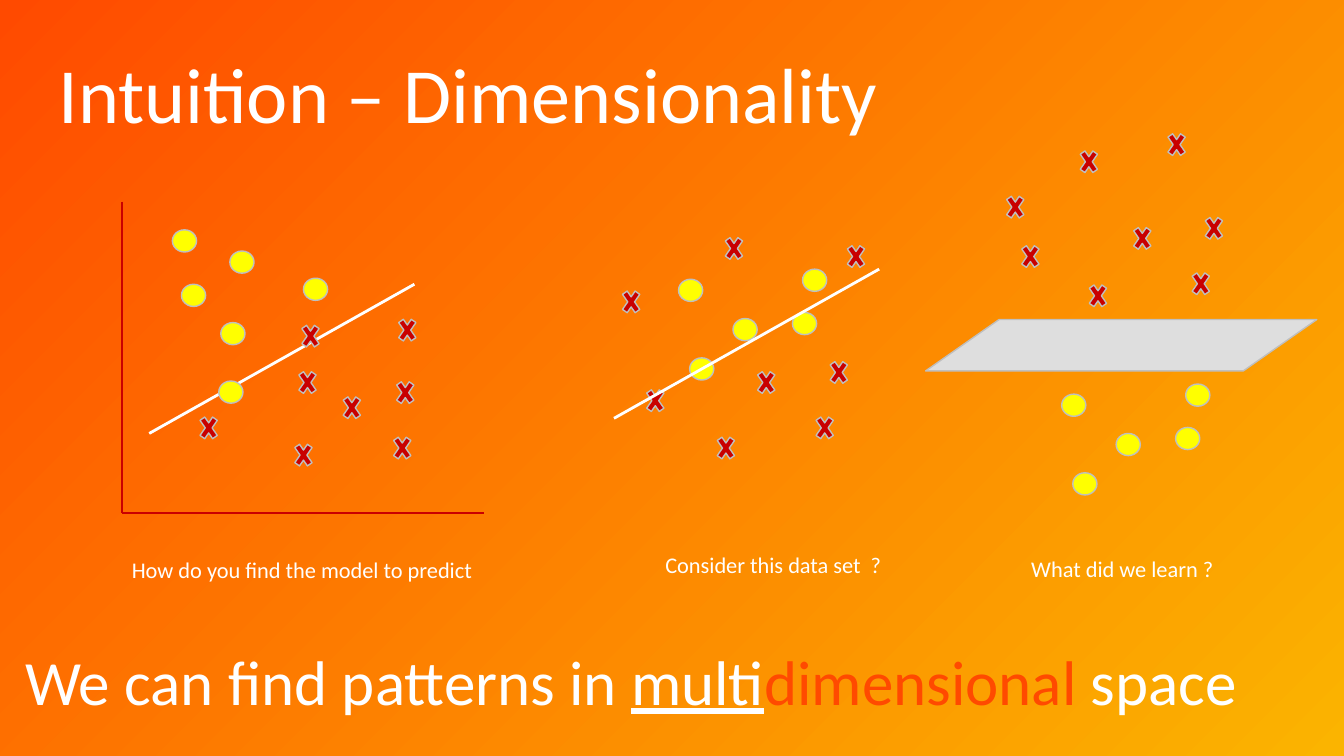
from pptx import Presentation
from pptx.dml.color import RGBColor
from pptx.enum.shapes import MSO_CONNECTOR, MSO_SHAPE as SHAPE
from pptx.enum.text import MSO_AUTO_SIZE as AUTO_SIZE
from pptx.oxml.ns import qn
from pptx.util import Inches, Pt
from lxml import etree

WHITE, RED, ORANGE, AMBER = "FFFFFF", "C90000", "FF4A00", "FBB400"
YELLOW, PLANE_GRAY, EDGE_GRAY = "FFFF00", "DEDEDE", "BFBFBF"
RISE = (2.63, -1.48)
INNER_CLUSTER = [(1.23, 0), (0.54, 0.49), (0, 0.1), (0.11, 0.88), (1.13, 0.43)]


def color(hex_value):
    """Turn a hex string into a colour."""
    return RGBColor.from_string(hex_value)


def add_text(slide, box, runs, size, wrap=True, inset=0.1):
    """Place one paragraph of (text, colour, underline) runs in a box."""
    frame = slide.shapes.add_textbox(*map(Inches, box)).text_frame
    frame.word_wrap = wrap
    frame.auto_size = AUTO_SIZE.NONE if wrap else AUTO_SIZE.SHAPE_TO_FIT_TEXT
    frame.margin_left = Inches(inset)
    for text, hex_value, underline in runs:
        run = frame.paragraphs[0].add_run()
        run.text = text
        run.font.name = "Calibri"
        run.font.size = Pt(size)
        run.font.color.rgb = color(hex_value)
        run.font.underline = underline


def add_caption(slide, left, top, width, text):
    """Place a one-line caption under a panel."""
    add_text(slide, (left, top, width, 0.37), [(text, WHITE, False)], 16, wrap=False)


def add_line(slide, start, end, hex_value):
    """Draw a straight line between two points."""
    line = slide.shapes.add_connector(MSO_CONNECTOR.STRAIGHT, *map(Inches, start + end))
    line.line.color.rgb = color(hex_value)
    line.line.width = Pt(2)
    etree.SubElement(line._element.spPr, qn("a:effectLst"))


def add_boundary(slide, left, top):
    """Draw a rising separating line from its lower left end."""
    add_line(slide, (left, top), (left + RISE[0], top + RISE[1]), WHITE)


def add_outlined(slide, kind, box, hex_value):
    """Draw a filled shape with a thin gray edge."""
    outlined = slide.shapes.add_shape(kind, *map(Inches, box))
    outlined.shadow.inherit = False
    outlined.fill.solid()
    outlined.fill.fore_color.rgb = color(hex_value)
    outlined.line.color.rgb = color(EDGE_GRAY)
    outlined.line.width = Pt(1)
    return outlined


def add_dots(slide, left, top, points):
    """Draw yellow dots at offsets from a corner."""
    for x, y in points:
        add_outlined(slide, SHAPE.OVAL, (left + x, top + y, 0.24, 0.22), YELLOW)


def add_crosses(slide, left, top, points):
    """Draw red crosses at offsets from a corner."""
    for x, y in points:
        add_outlined(slide, SHAPE.MATH_MULTIPLY, (left + x, top + y, 0.24, 0.35), RED)


def separable_panel(slide, left, top, width, height):
    """Draw the axes with two classes that a line separates."""
    corner = (left, top + height)
    add_line(slide, (left, top), corner, RED)
    add_line(slide, (left + width, top + height), corner, RED)
    add_boundary(slide, left + 0.27, top + 2.3)
    add_dots(slide, left, top, [(0.5, 0.28), (0.59, 0.82), (1.07, 0.49),
                                (1.8, 0.76), (0.96, 1.78), (0.98, 1.2)])
    add_crosses(slide, left, top, [(1.68, 2.34), (2.16, 1.87), (2.69, 1.72), (2.66, 2.27),
                                   (0.74, 2.07), (1.72, 1.62), (2.71, 1.1), (1.75, 1.16)])
    add_caption(slide, left, top + 3.47, 3.73, "How do you find the model to predict")


def mixed_panel(slide, left, top):
    """Draw dots ringed by crosses, which a line fails to separate."""
    add_dots(slide, left + 0.64, top + 0.67, INNER_CLUSTER)
    add_crosses(slide, left, top, [(0.99, 2.27), (1.39, 1.62), (2.11, 1.52), (1.97, 2.07),
                                   (0.29, 1.8), (0.05, 0.82), (1.07, 0.29), (2.28, 0.37)])
    add_boundary(slide, left, top + 2.15)
    add_caption(slide, left + 0.41, top + 3.42, 2.37, "Consider this data set  ?")


def lifted_panel(slide, left, top, width):
    """Draw crosses above and dots below a separating plane."""
    add_dots(slide, left + 1.35, top + 2.55, INNER_CLUSTER)
    add_crosses(slide, left, top, [(1.59, 1.5), (2.03, 0.93), (2.74, 0.83), (2.61, 1.38),
                                   (0.92, 1.11), (0.77, 0.62), (1.5, 0.17), (2.37, 0)])
    plane = add_outlined(slide, SHAPE.PARALLELOGRAM, (left, top + 1.91, width, 0.51), PLANE_GRAY)
    plane.adjustments[0] = 1.43
    add_caption(slide, left + 0.95, top + 4.2, 2.03, "What did we learn ?")


def paint_background(slide):
    """Fill the background with a diagonal gradient."""
    fill = slide.background.fill
    fill.gradient()
    fill.gradient_angle = 315
    for stop, position, hex_value in zip(fill.gradient_stops, (0, 1), (ORANGE, AMBER)):
        stop.position = position
        stop.color.rgb = color(hex_value)


def main():
    """Build and save the slide."""
    deck = Presentation()
    deck.slide_width, deck.slide_height = Inches(13.33), Inches(7.5)
    slide = deck.slides.add_slide(deck.slide_layouts[6])
    paint_background(slide)
    add_text(slide, (0.58, 0.4, 8.58, 1.33),
             [("Intuition – Dimensionality", WHITE, False)], 55.8, inset=0)
    separable_panel(slide, 1.21, 2, 3.59, 3.09)
    mixed_panel(slide, 6.09, 2)
    lifted_panel(slide, 9.18, 1.26, 3.88)
    add_text(slide, (0.25, 6.32, 12.97, 1.33),
             [("We can find patterns in ", WHITE, False), ("multi", WHITE, True),
              ("dimensional", ORANGE, False), (" space", WHITE, False)], 45, inset=0)
    deck.save("out.pptx")


if __name__ == "__main__":
    main()
